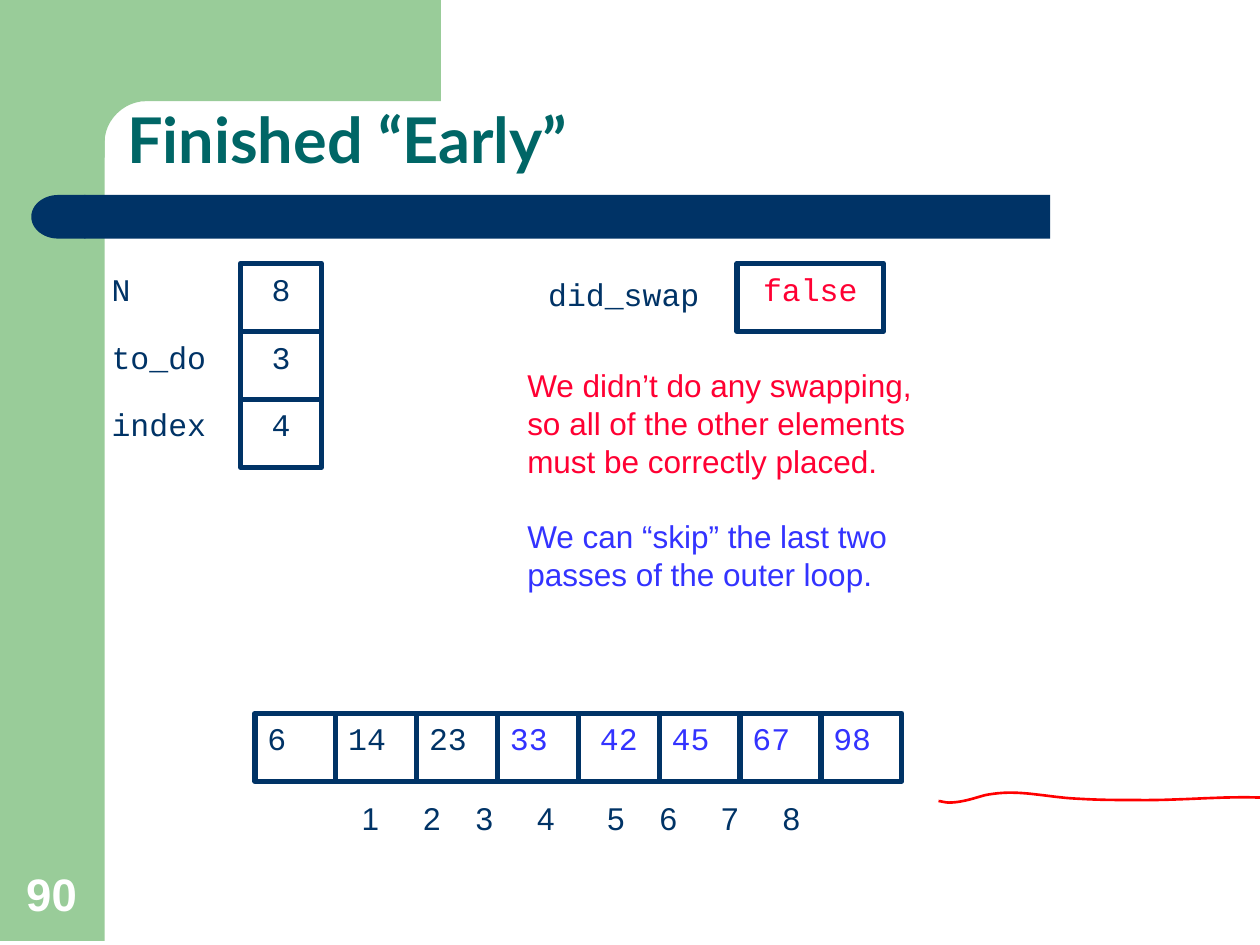
from pptx import Presentation
from pptx import util as u
from pptx.dml.color import RGBColor
from pptx.enum import shapes, text
from pptx.oxml.ns import qn
from lxml import etree

COLORS = {"green": "99CC99", "navy": "003366", "teal": "006666", "blue": "3333FF",
          "red": "FF0033", "ink": "FF0000", "white": "FFFFFF"}
MONO, SANS = "Courier New", "Arial"
ROW = 1.37
CELL = 1.63


def rgb(name):
    return RGBColor.from_string(COLORS[name])


def cm(*lengths):
    return [u.Cm(length) for length in lengths]


def style(paragraph, color, font=MONO, size=18, bold=False):
    for run in paragraph.runs:
        run.font.name = font
        run.font.size = u.Pt(size)
        run.font.bold = bold
        run.font.color.rgb = rgb(color)


def add_block(slide, kind, box, color):
    shape = slide.shapes.add_shape(kind, *cm(*box))
    shape.shadow.inherit = False
    shape.fill.solid()
    shape.fill.fore_color.rgb = rgb(color)
    shape.line.fill.background()
    return shape


def add_label(slide, box, words, color="navy", **font):
    label = slide.shapes.add_textbox(*cm(*box))
    frame = label.text_frame
    frame.word_wrap = True
    frame.text = words
    for paragraph in frame.paragraphs:
        style(paragraph, color, **font)
    return frame


def add_cell(slide, box, words, color="navy", align=text.PP_ALIGN.CENTER):
    cell = slide.shapes.add_shape(shapes.MSO_SHAPE.RECTANGLE, *cm(*box))
    cell.shadow.inherit = False
    cell.fill.background()
    cell.line.color.rgb = rgb("navy")
    cell.line.width = u.Pt(3)
    frame = cell.text_frame
    frame.vertical_anchor = text.MSO_ANCHOR.TOP
    frame.text = words
    frame.paragraphs[0].alignment = align
    style(frame.paragraphs[0], color)


def curve(start, control_1, control_2, end, steps=12):
    """Points along a cubic curve, without its start."""
    points = []
    for step in range(1, steps + 1):
        t = step / steps
        weights = ((1 - t) ** 3, 3 * t * (1 - t) ** 2, 3 * t * t * (1 - t), t ** 3)
        corners = (start, control_1, control_2, end)
        points.append(tuple(sum(w * corner[axis] for w, corner in zip(weights, corners))
                            for axis in (0, 1)))
    return points


def add_outline(slide, points, close):
    pens = [tuple(cm(*point)) for point in points]
    builder = slide.shapes.build_freeform(*pens[0])
    builder.add_line_segments(pens[1:], close=close)
    shape = builder.convert_to_shape()
    shape.shadow.inherit = False
    return shape


def add_backdrop(slide):
    add_block(slide, shapes.MSO_SHAPE.RECTANGLE, (0, -0.08, 2.11, 19.05), "green")
    left, inner, right = 1.27, 2.11, 8.89
    top, edge, bottom = -0.08, 2.04, 3.18
    rounded = curve((2.95, edge), (2.5, edge), (inner, 2.42), (inner, 2.87))
    corner = add_outline(slide, [(left, top), (right, top), (right, edge), (2.95, edge),
                                 *rounded, (inner, bottom), (left, bottom)], close=True)
    corner.fill.solid()
    corner.fill.fore_color.rgb = rgb("green")
    corner.line.fill.background()
    add_block(slide, shapes.MSO_SHAPE.RECTANGLE, (1.7, 3.93, 19.47, 0.88), "navy")
    cap = add_block(slide, shapes.MSO_SHAPE.FLOWCHART_DELAY, (0.63, 3.93, 1.09, 0.88), "navy")
    cap.rotation = 180


def add_title(slide, left, top, width, height):
    title = slide.shapes.title
    title.left, title.top, title.width, title.height = cm(left, top, width, height)
    frame = title.text_frame
    frame.text = "Finished “Early”"
    frame.vertical_anchor = text.MSO_ANCHOR.BOTTOM
    paragraph = frame.paragraphs[0]
    paragraph.alignment = text.PP_ALIGN.LEFT
    paragraph.line_spacing = 0.9
    style(paragraph, "teal", font="Lato", size=36, bold=True)


def add_variables(slide, left, top):
    for row, (name, value) in enumerate([("N", "8"), ("to_do", "3"), ("index", "4")]):
        y = top + row * ROW
        add_label(slide, (left, y, 2.6, 1.02), name)
        add_cell(slide, (left + 2.85, y, CELL, ROW), value)


def add_flag(slide, left, top):
    add_label(slide, (left, top + 0.1, 4, 1.02), "did_swap")
    add_cell(slide, (left + 4.06, top, 2.95, ROW), "false", "red")


def add_message(slide, box):
    frame = add_label(slide, box, "We didn’t do any swapping,\vso all of the other elements\v"
                      "must be correctly placed.", "red", font=SANS)
    paragraph = frame.add_paragraph()
    paragraph.text = "We can “skip” the last two\vpasses of the outer loop."
    paragraph.space_before = u.Pt(21.5)
    style(paragraph, "blue", font=SANS)


def add_array(slide, left, top):
    for column, value in enumerate([6, 14, 23, 33, 42, 45, 67, 98]):
        align = text.PP_ALIGN.CENTER if value == 42 else text.PP_ALIGN.LEFT
        add_cell(slide, (left + column * CELL, top, CELL, ROW), str(value),
                 "navy" if column < 3 else "blue", align)
    frame = add_label(slide, (left + 1.9, top + 1.6, 10.5, 1.02),
                      "\t".join(str(number) for number in range(1, 9)), font=SANS)
    properties = frame.paragraphs[0]._p.get_or_add_pPr()
    stops = etree.SubElement(properties, qn("a:tabLst"))
    position = 0
    for gap in (1.24, 1.06, 1.24, 1.41, 1.06, 1.24, 1.24):
        position += gap
        etree.SubElement(stops, qn("a:tab"), pos=str(u.Cm(position)), algn="l")


def add_pen_stroke(slide):
    points = [(18.92, 16.15)]
    for bend in [((18.97, 16.15), (19.05, 16.18), (19.13, 16.18)),
                 ((19.38, 16.18), (19.61, 16.1), (19.86, 16.03)),
                 ((20.02, 16), (20.19, 15.98), (20.37, 15.98)),
                 ((20.8, 15.98), (21.26, 16.08), (21.69, 16.1)),
                 ((22.15, 16.13), (22.63, 16.13), (23.09, 16.13)),
                 ((23.9, 16.13), (24.69, 16.05), (25.4, 16.08))]:
        points += curve(points[-1], *bend)
    stroke = add_outline(slide, points, close=False)
    stroke.fill.background()
    stroke.line.color.rgb = rgb("ink")
    stroke.line.width = u.Pt(1.5)


def main():
    presentation = Presentation()
    presentation.slide_width, presentation.slide_height = cm(25.4, 19.05)
    slide = presentation.slides.add_slide(presentation.slide_layouts[5])
    add_backdrop(slide)
    add_title(slide, 2.31, 0.93, 21.62, 2.77)
    # The title stands in front of the backdrop.
    slide.shapes._spTree.append(slide.shapes.title._element)
    add_variables(slide, 2, 5.31)
    add_flag(slide, 10.8, 5.31)
    add_message(slide, (10.38, 7.26, 8.8, 4.83))
    add_array(slide, 5.14, 14.38)
    number = add_label(slide, (0.28, 17.33, 1.63, 1.35), "90", "white",
                       font=SANS, size=26, bold=True)
    number.vertical_anchor = text.MSO_ANCHOR.BOTTOM
    add_pen_stroke(slide)
    presentation.save("out.pptx")


if __name__ == "__main__":
    main()
